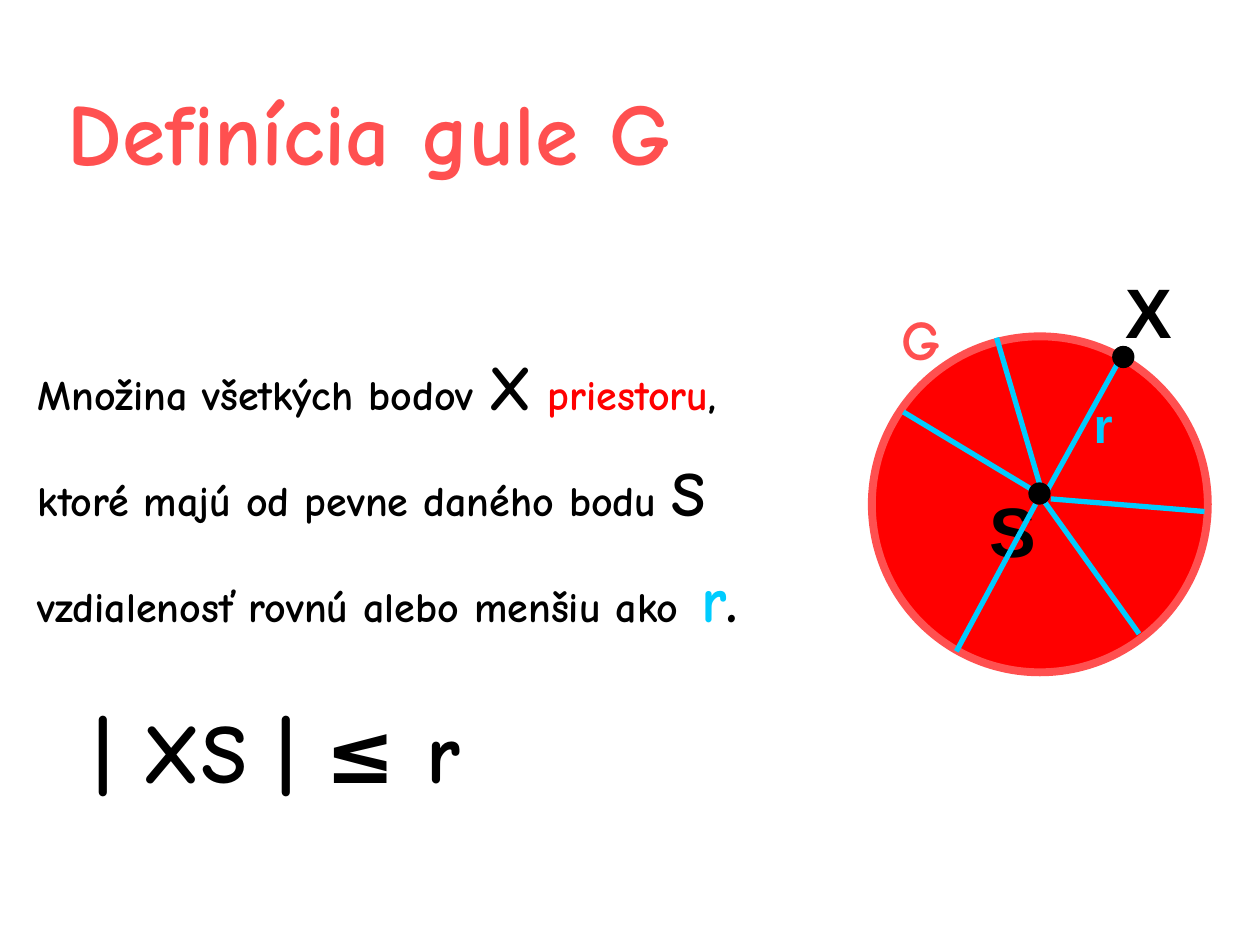
"""Build a slide that defines the ball G with a labelled diagram."""
from dataclasses import dataclass

import pptx
import pptx.dml.color
import pptx.enum.shapes
import pptx.enum.text
import pptx.oxml
import pptx.util

Pt = pptx.util.Pt
Align = pptx.enum.text.PP_ALIGN
Anchor = pptx.enum.text.MSO_ANCHOR
Preset = pptx.enum.shapes.MSO_SHAPE


@dataclass(frozen=True)
class Theme:
    hand: str = "Comic Neue"
    plain: str = "Arial"
    black: str = "000000"
    coral: str = "FF5050"
    red: str = "FF0000"
    cyan: str = "00CCFF"
    title: int = 50
    formula: int = 48
    point: int = 40
    symbol: int = 36
    ball: int = 32
    radius: int = 28
    body: int = 24


THEME = Theme()

DEFINITION = [
    [("Množina všetkých bodov ", THEME.body, THEME.black),
     ("X", THEME.symbol, THEME.black),
     (" ", THEME.body, THEME.black),
     ("priestoru", THEME.body, THEME.red),
     (",", THEME.body, THEME.black)],
    [("ktoré majú od pevne daného bodu ", THEME.body, THEME.black),
     ("S", THEME.symbol, THEME.black)],
    [("vzdialenosť rovnú alebo menšiu ako", THEME.body, THEME.black),
     (" r", THEME.symbol, THEME.cyan),
     (".", THEME.symbol, THEME.black)],
]
TITLE = ("Definícia gule G", (31.7, 12.2, 668, 96), THEME.title, THEME.hand, THEME.coral, Align.LEFT)
DEFINITION_BOX = (14.4, 177.8, 491, 262.8)
BACK_LABELS = [
    ("G", (508.3, 170.6, 36.7, 46), THEME.ball, THEME.hand, THEME.coral, Align.LEFT),
    ("| XS | ≤ r", (46.8, 396, 261.4, 65.5), THEME.formula, THEME.hand, THEME.black, Align.LEFT),
    ("S", (558, 275, 41, 55.4), THEME.point, THEME.plain, THEME.black, Align.CENTER),
    ("X", (635.8, 149.8, 41, 55.4), THEME.point, THEME.plain, THEME.black, Align.CENTER),
]
RADIUS_LABEL = ("r", (617.8, 221.8, 25.2, 41), THEME.radius, THEME.plain, THEME.cyan, Align.LEFT)
BALL = (594.2, 288.2, 192)
POINTS = [(641.9, 204), (594, 282)]
RADII = [
    ((596.9, 283), (640.8, 203.8)),
    ((596.2, 283.7), (569.5, 193)),
    ((592.6, 281.5), (516.2, 235.4)),
    ((591.8, 288), (546.5, 372.2)),
    ((650.9, 362.2), (596.2, 285.8)),
    ((600.5, 285.1), (688.3, 292.3)),
]
POINT_SIZE = 12


def rgb(color):
    return pptx.dml.color.RGBColor.from_string(color)


def style(font, size, name, color):
    font.size, font.name, font.bold = Pt(size), name, True
    font.color.rgb = rgb(color)


def add_box(slide, place, wrap=True):
    shape = slide.shapes.add_textbox(*map(Pt, place))
    shape.text_frame.word_wrap = wrap
    return shape.text_frame


def add_label(slide, label, wrap=False, anchor=Anchor.TOP):
    text, place, size, name, color, align = label
    frame = add_box(slide, place, wrap)
    frame.vertical_anchor = anchor
    paragraph = frame.paragraphs[0]
    paragraph.text, paragraph.alignment = text, align
    style(paragraph.font, size, name, color)


def add_definition(slide):
    frame = add_box(slide, DEFINITION_BOX)
    for index, runs in enumerate(DEFINITION):
        paragraph = frame.add_paragraph() if index else frame.paragraphs[0]
        paragraph.line_spacing = 1.4
        for text, size, color in runs:
            run = paragraph.add_run()
            run.text = text
            style(run.font, size, THEME.hand, color)


def add_disc(slide, preset, disc, fill, line, width):
    x, y, size = disc
    shape = slide.shapes.add_shape(
        preset, Pt(x - size / 2), Pt(y - size / 2), Pt(size), Pt(size))
    shape.shadow.inherit = False
    shape.fill.solid()
    shape.fill.fore_color.rgb = rgb(fill)
    shape.line.color.rgb = rgb(line)
    shape.line.width = Pt(width)


def add_radius(slide, start, end):
    connector = slide.shapes.add_connector(
        pptx.enum.shapes.MSO_CONNECTOR.STRAIGHT, *map(Pt, start + end))
    connector.line.color.rgb = rgb(THEME.cyan)
    connector.line.width = Pt(3)
    properties = connector._element.spPr
    properties.append(properties.makeelement(pptx.oxml.ns.qn("a:effectLst"), {}))


def main():
    presentation = pptx.Presentation()
    presentation.slide_width, presentation.slide_height = Pt(720), Pt(540)
    slide = presentation.slides.add_slide(presentation.slide_layouts[6])
    add_disc(slide, Preset.OVAL, BALL, THEME.red, THEME.coral, 4.5)
    add_label(slide, TITLE, wrap=True, anchor=Anchor.BOTTOM)
    add_definition(slide)
    for label in BACK_LABELS:
        add_label(slide, label)
    for start, end in RADII:
        add_radius(slide, start, end)
    add_label(slide, RADIUS_LABEL)
    for point in POINTS:
        add_disc(slide, Preset.FLOWCHART_CONNECTOR, (*point, POINT_SIZE), THEME.black, THEME.black, 0.75)
    presentation.save("out.pptx")


if __name__ == "__main__":
    main()
